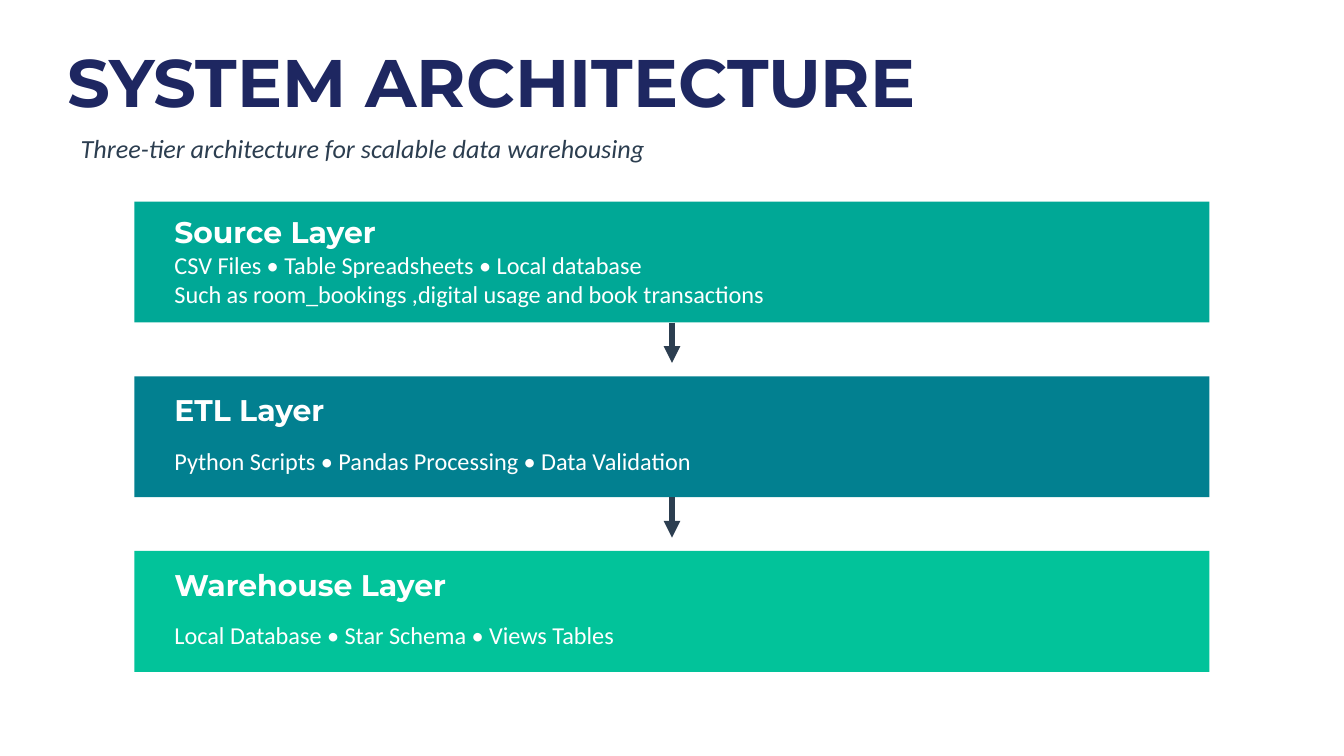
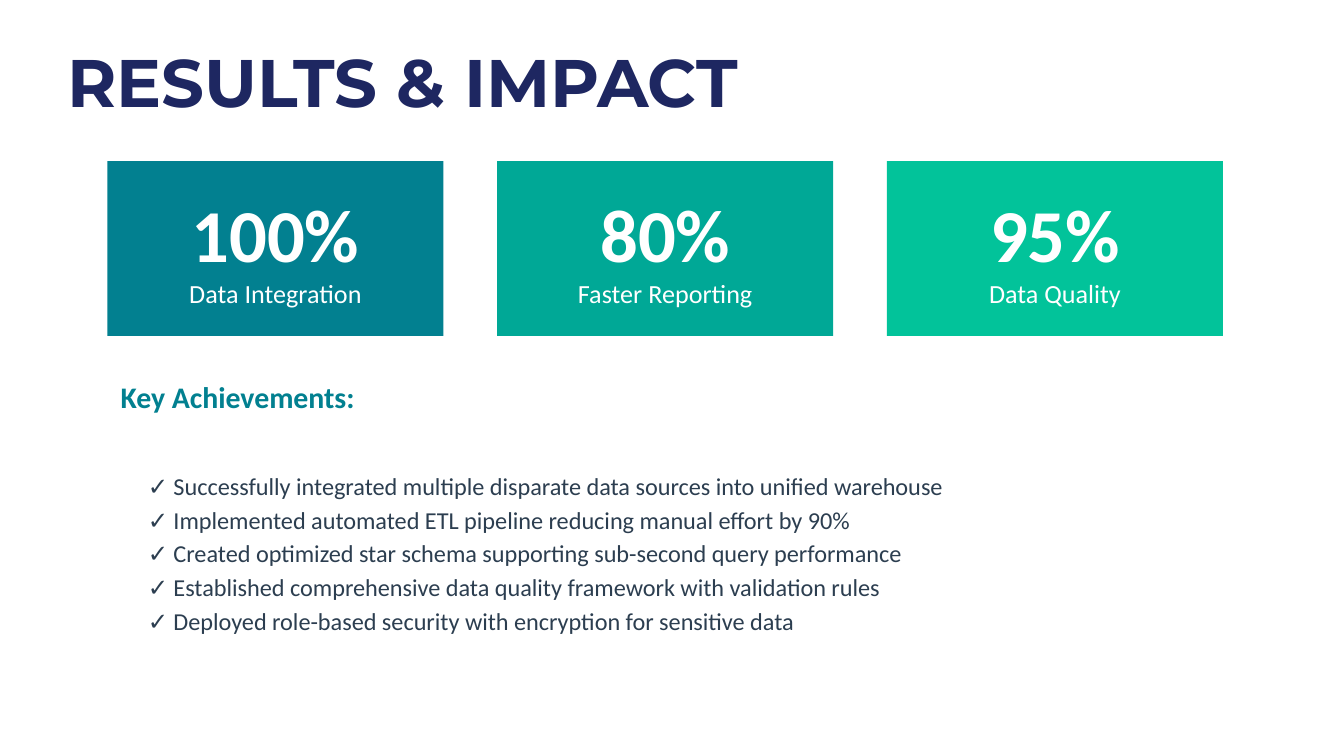
import pptx
import pptx.dml.color
import pptx.enum.shapes
import pptx.enum.text
import pptx.oxml
import pptx.util
from lxml import etree

RGBColor = pptx.dml.color.RGBColor
PP_ALIGN = pptx.enum.text.PP_ALIGN

# Shared look
NAVY = RGBColor(0x1E, 0x27, 0x61)
SLATE = RGBColor(0x2C, 0x3E, 0x50)
TEAL = RGBColor(0x02, 0x80, 0x90)
SEA = RGBColor(0x00, 0xA8, 0x96)
MINT = RGBColor(0x02, 0xC3, 0x9A)
WHITE = RGBColor(0xFF, 0xFF, 0xFF)
HEAD_FONT, BODY_FONT = "Montserrat", "Calibri"

# The slide is a grid of 100 columns; rows are as tall as columns are wide
WIDTH, HEIGHT = pptx.util.Inches(10), pptx.util.Inches(5.625)
COLUMNS = 100


def cells(n):
    return round(WIDTH * n / COLUMNS)


def place(shape, x, y, w, h):
    shape.left, shape.top = cells(x), cells(y)
    shape.width, shape.height = cells(w), cells(h)


def setup_frame(tf, inset=None):
    tf.word_wrap = True
    tf.auto_size = pptx.enum.text.MSO_AUTO_SIZE.NONE
    tf.vertical_anchor = pptx.enum.text.MSO_ANCHOR.MIDDLE
    if inset is not None:
        tf.margin_left = tf.margin_right = inset
        tf.margin_top = tf.margin_bottom = inset


def add_line(tf, text, size=13, color=SLATE, font=BODY_FONT, bold=False,
             italic=False, align=PP_ALIGN.LEFT, spacing=None):
    """Write one paragraph, using the frame's first one while it is empty."""
    p = tf.paragraphs[0] if not tf.text else tf.add_paragraph()
    p.alignment = align
    p.space_before = pptx.util.Pt(0)
    if spacing:
        p.line_spacing = pptx.util.Pt(spacing)
    r = p.add_run()
    r.text = text
    r.font.size, r.font.name = pptx.util.Pt(size), font
    r.font.bold, r.font.italic = bold, italic
    r.font.color.rgb = color
    return p


def add_text(s, lines, x, y, w, h, **fmt):
    tb = s.shapes.add_textbox(cells(x), cells(y), cells(w), cells(h))
    setup_frame(tb.text_frame)
    for line in lines:
        add_line(tb.text_frame, line, **fmt)
    return tb.text_frame


def fill_body(s, lines, x, y, w, h, **fmt):
    """Fill the body placeholder with unbulleted lines."""
    sp = s.placeholders[1]
    place(sp, x, y, w, h)
    setup_frame(sp.text_frame)
    for line in lines:
        pPr = add_line(sp.text_frame, line, **fmt)._p.get_or_add_pPr()
        pPr.set("marL", "0")
        pPr.set("indent", "0")
        etree.SubElement(pPr, pptx.oxml.ns.qn("a:buNone"))


def add_box(s, x, y, w, h, color):
    sp = s.shapes.add_shape(pptx.enum.shapes.MSO_SHAPE.RECTANGLE,
                            cells(x), cells(y), cells(w), cells(h))
    sp.fill.solid()
    sp.fill.fore_color.rgb = color
    sp.line.fill.background()
    sp.shadow.inherit = False


def add_down_arrow(s, x, y, length):
    c = s.shapes.add_connector(pptx.enum.shapes.MSO_CONNECTOR.STRAIGHT,
                               cells(x), cells(y), cells(x), cells(y + length))
    c.line.color.rgb = SLATE
    c.line.width = pptx.util.Pt(3)
    ln = c.line._get_or_add_ln()
    etree.SubElement(ln, pptx.oxml.ns.qn("a:tailEnd"), type="triangle")
    etree.SubElement(c._element.spPr, pptx.oxml.ns.qn("a:effectLst"))


def add_titled_slide(prs, title):
    s = prs.slides.add_slide(prs.slide_layouts[1])
    place(s.shapes.title, 5, 3, 90, 6)
    tf = s.shapes.title.text_frame
    setup_frame(tf, inset=0)
    add_line(tf, title, size=36, color=NAVY, font=HEAD_FONT, bold=True)
    return s


def add_layer(s, y, name, details, color):
    """A full-width band: its name on top, its details at the bottom."""
    add_box(s, 10, y, 80, 9, color)
    name_h, details_h = (2.5, 4.5) if len(details) > 1 else (3, 3.5)
    add_text(s, [name], 12, y + 1, 76, name_h,
             size=16, color=WHITE, font=HEAD_FONT, bold=True)
    add_text(s, details, 12, y + 8 - details_h, 76, details_h, color=WHITE)


def add_metric(s, x, value, label, color):
    add_box(s, x, 12, 25, 13, color)
    tf = add_text(s, [value], x, 14, 25, 9, size=40, color=WHITE,
                  bold=True, align=PP_ALIGN.CENTER)
    add_line(tf, label, size=14, color=WHITE, align=PP_ALIGN.CENTER)


def build_architecture(prs):
    s = add_titled_slide(prs, "SYSTEM ARCHITECTURE")
    fill_body(s, ["Three-tier architecture for scalable data warehousing"],
              5, 9.5, 90, 3, size=14, italic=True)
    layers = [
        ("Source Layer",
         ["CSV Files • Table Spreadsheets • Local database",
          "Such as room_bookings ,digital usage and book transactions"], SEA),
        ("ETL Layer",
         ["Python Scripts • Pandas Processing • Data Validation"], TEAL),
        ("Warehouse Layer",
         ["Local Database • Star Schema • Views Tables"], MINT),
    ]
    for i, (name, details, color) in enumerate(layers):
        y = 15 + 13 * i
        add_layer(s, y, name, details, color)
        if i < len(layers) - 1:
            add_down_arrow(s, COLUMNS / 2, y + 9, 3)


def build_results(prs):
    s = add_titled_slide(prs, "RESULTS & IMPACT")
    metrics = [
        ("100%", "Data Integration", TEAL),
        ("80%", "Faster Reporting", SEA),
        ("95%", "Data Quality", MINT),
    ]
    for i, (value, label, color) in enumerate(metrics):
        add_metric(s, 8 + 29 * i, value, label, color)

    # Achievements
    add_text(s, ["Key Achievements:"], 8, 28, 85, 3,
             size=16, color=TEAL, bold=True)
    achievements = [
        "Successfully integrated multiple disparate data sources into unified warehouse",
        "Implemented automated ETL pipeline reducing manual effort by 90%",
        "Created optimized star schema supporting sub-second query performance",
        "Established comprehensive data quality framework with validation rules",
        "Deployed role-based security with encryption for sensitive data",
    ]
    fill_body(s, [f"✓ {a}" for a in achievements], 10, 32, 80, 18, spacing=18)


def main():
    prs = pptx.Presentation()
    prs.slide_width, prs.slide_height = WIDTH, HEIGHT
    build_architecture(prs)
    build_results(prs)
    prs.save("out.pptx")


if __name__ == "__main__":
    main()
